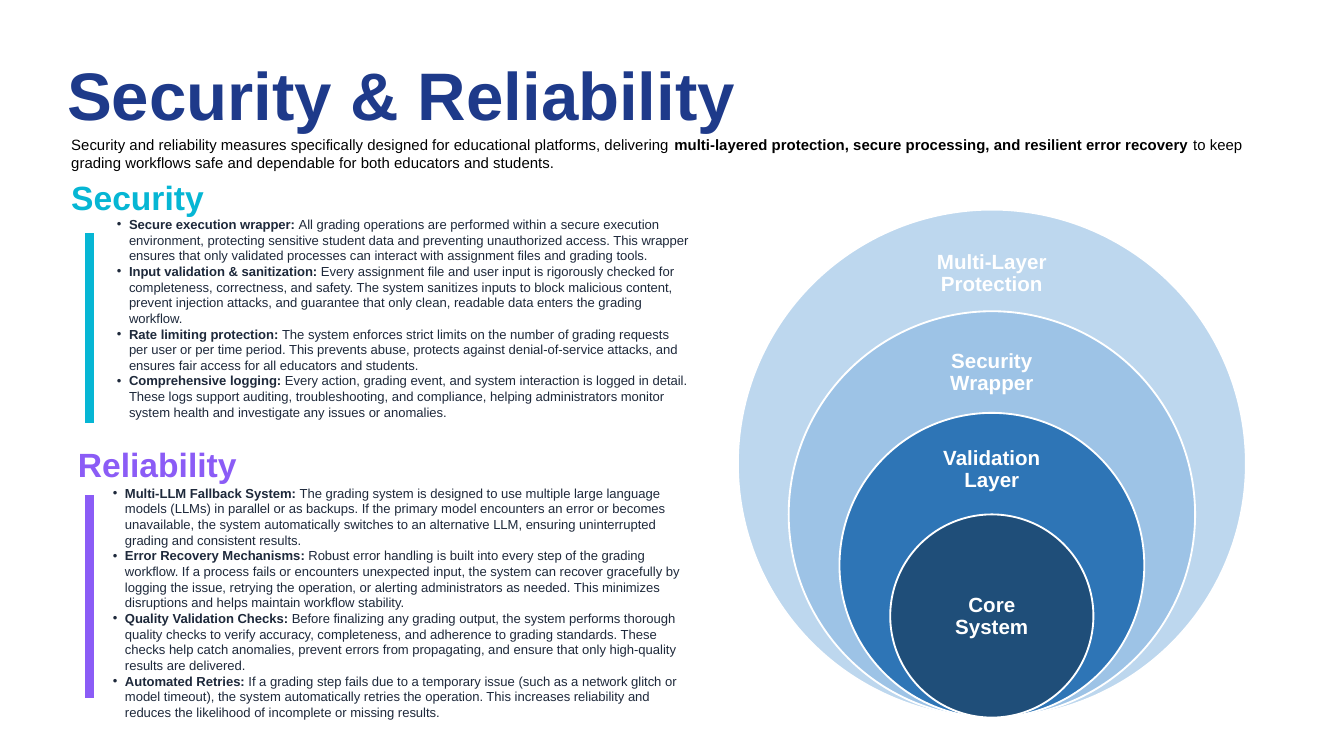
from dataclasses import dataclass

from lxml.etree import SubElement
from pptx import Presentation
from pptx.dml.color import RGBColor
from pptx.enum.shapes import MSO_SHAPE as Shape
from pptx.enum.text import MSO_ANCHOR as Anchor, PP_ALIGN as Align
from pptx.oxml.ns import qn
from pptx.util import Inches, Pt


@dataclass(frozen=True)
class Theme:
    font: str = "Arial"
    title: str = "1E3A8A"
    intro: str = "000000"
    body: str = "1E293B"
    white: str = "FFFFFF"
    security: str = "06B6D4"
    reliability: str = "8B5CF6"
    layers: tuple = ("BDD7EE", "9DC3E6", "2E75B6", "1F4E79")
    title_size: int = 36
    heading_size: int = 18
    label_size: int = 11
    intro_size: int = 8
    body_size: int = 7


class SlideBuilder:
    def __init__(self, slide, theme):
        self.slide = slide
        self.theme = theme

    def text_box(self, box, shapes=None, margins=(0, 0, 0, 0), anchor=Anchor.TOP):
        shapes = shapes or self.slide.shapes
        frame = shapes.add_textbox(*map(Inches, box)).text_frame
        frame.word_wrap = True
        frame.vertical_anchor = anchor
        (frame.margin_left, frame.margin_top,
         frame.margin_right, frame.margin_bottom) = map(Inches, margins)
        return frame

    def run(self, paragraph, text, size, color, bold=False):
        run = paragraph.add_run()
        run.text = text
        run.font.name = self.theme.font
        run.font.size = Pt(size)
        run.font.bold = bold
        run.font.color.rgb = RGBColor.from_string(color)

    def heading(self, text, box, size, color, line_height):
        paragraph = self.text_box(box).paragraphs[0]
        paragraph.line_spacing = Pt(line_height)
        self.run(paragraph, text, size, color, True)

    def intro(self, parts, box):
        paragraph = self.text_box(box).paragraphs[0]
        for text, bold in parts:
            self.run(paragraph, text, self.theme.intro_size, self.theme.intro, bold)

    def bullets(self, items, box):
        frame = self.text_box(box, margins=(0.09, 0, 0, 0))
        for index, (term, detail) in enumerate(items):
            paragraph = frame.add_paragraph() if index else frame.paragraphs[0]
            properties = paragraph._p.get_or_add_pPr()
            properties.set("marL", str(Inches(0.09)))
            properties.set("indent", str(-Inches(0.09)))
            SubElement(properties, qn("a:buFont"), typeface=self.theme.font)
            SubElement(properties, qn("a:buChar"), char="•")
            self.run(paragraph, term + ": ", self.theme.body_size, self.theme.body, True)
            self.run(paragraph, detail, self.theme.body_size, self.theme.body)

    def shape(self, kind, box, fill, line, shapes=None):
        shapes = shapes or self.slide.shapes
        shape = shapes.add_shape(kind, *map(Inches, box))
        shape.shadow.inherit = False
        shape.fill.solid()
        shape.fill.fore_color.rgb = RGBColor.from_string(fill)
        shape.line.color.rgb = RGBColor.from_string(line)
        shape.line.width = Pt(1)
        # Square corners on the outline
        SubElement(shape.line._get_or_add_ln(), qn("a:miter"), lim="800000")

    def label(self, text, box, shapes):
        frame = self.text_box(box, shapes, (0.09,) * 4, Anchor.MIDDLE)
        paragraph = frame.paragraphs[0]
        paragraph.alignment = Align.CENTER
        paragraph.line_spacing = 0.9
        self.run(paragraph, text, self.theme.label_size, self.theme.white, True)

    def nested_circles(self, layers, center, bottom, diameter):
        """Circles share their lowest point; each is a fifth of the largest smaller."""
        shapes = self.slide.shapes.add_group_shape().shapes
        for index, (text, label_top, label_height) in enumerate(layers):
            size = diameter * (1 - index / 5)
            self.shape(Shape.OVAL, (center - size / 2, bottom - size, size, size),
                       self.theme.layers[index], self.theme.white, shapes)
            self.label(text, (center - 0.53, label_top, 1.06, label_height), shapes)


SECURITY = [
    ("Secure execution wrapper",
     "All grading operations are performed within a secure execution environment, "
     "protecting sensitive student data and preventing unauthorized access. This wrapper "
     "ensures that only validated processes can interact with assignment files and "
     "grading tools."),
    ("Input validation & sanitization",
     "Every assignment file and user input is rigorously checked for completeness, "
     "correctness, and safety. The system sanitizes inputs to block malicious content, "
     "prevent injection attacks, and guarantee that only clean, readable data enters the "
     "grading workflow."),
    ("Rate limiting protection",
     "The system enforces strict limits on the number of grading requests per user or per "
     "time period. This prevents abuse, protects against denial-of-service attacks, and "
     "ensures fair access for all educators and students."),
    ("Comprehensive logging",
     "Every action, grading event, and system interaction is logged in detail. These logs "
     "support auditing, troubleshooting, and compliance, helping administrators monitor "
     "system health and investigate any issues or anomalies."),
]
RELIABILITY = [
    ("Multi-LLM Fallback System",
     "The grading system is designed to use multiple large language models (LLMs) in "
     "parallel or as backups. If the primary model encounters an error or becomes "
     "unavailable, the system automatically switches to an alternative LLM, ensuring "
     "uninterrupted grading and consistent results."),
    ("Error Recovery Mechanisms",
     "Robust error handling is built into every step of the grading workflow. If a process "
     "fails or encounters unexpected input, the system can recover gracefully by logging "
     "the issue, retrying the operation, or alerting administrators as needed. This "
     "minimizes disruptions and helps maintain workflow stability."),
    ("Quality Validation Checks",
     "Before finalizing any grading output, the system performs thorough quality checks to "
     "verify accuracy, completeness, and adherence to grading standards. These checks help "
     "catch anomalies, prevent errors from propagating, and ensure that only high-quality "
     "results are delivered."),
    ("Automated Retries",
     "If a grading step fails due to a temporary issue (such as a network glitch or model "
     "timeout), the system automatically retries the operation. This increases reliability "
     "and reduces the likelihood of incomplete or missing results."),
]
INTRO = [
    ("Security and reliability measures specifically designed for educational platforms, "
     "delivering ", False),
    ("multi-layered protection, secure processing, and resilient error recovery ", True),
    ("to keep grading workflows safe and dependable for both educators and students.", False),
]
# Text, label top, label height
LAYERS = [
    ("Multi-Layer Protection", 1.75, 0.57),
    ("Security Wrapper", 2.5, 0.55),
    ("Validation Layer", 3.24, 0.51),
    ("Core System", 4.21, 0.76),
]


def main():
    presentation = Presentation()
    presentation.slide_width = Inches(10)
    presentation.slide_height = Inches(10 * 9 / 16)
    slide = presentation.slides.add_slide(presentation.slide_layouts[6])
    theme = Theme()
    builder = SlideBuilder(slide, theme)

    # Title and introduction
    builder.heading("Security & Reliability", (0.5, 0.5, 5.08, 0.5),
                    theme.title_size, theme.title, 36)
    builder.intro(INTRO, (0.53, 1.01, 9.09, 0.37))

    # Sections: heading, bullets and side bar
    sections = [
        ("Security", SECURITY, theme.security, (0.53, 1.28), (0.78, 1.61), (1.74, 1.4)),
        ("Reliability", RELIABILITY, theme.reliability, (0.58, 3.27), (0.75, 3.61), (3.69, 1.5)),
    ]
    for name, items, color, heading_at, bullets_at, (bar_top, bar_height) in sections:
        builder.heading(name, (*heading_at, 4.08, 0.33), theme.heading_size, color, 24)
        builder.bullets(items, (*bullets_at, 4.36, 2.4))
        builder.shape(Shape.RECTANGLE, (0.64, bar_top, 0.05, bar_height), color, color)

    # Layer diagram
    builder.nested_circles(LAYERS, center=7.38, bottom=5.34, diameter=3.78)

    presentation.save("out.pptx")


if __name__ == "__main__":
    main()
